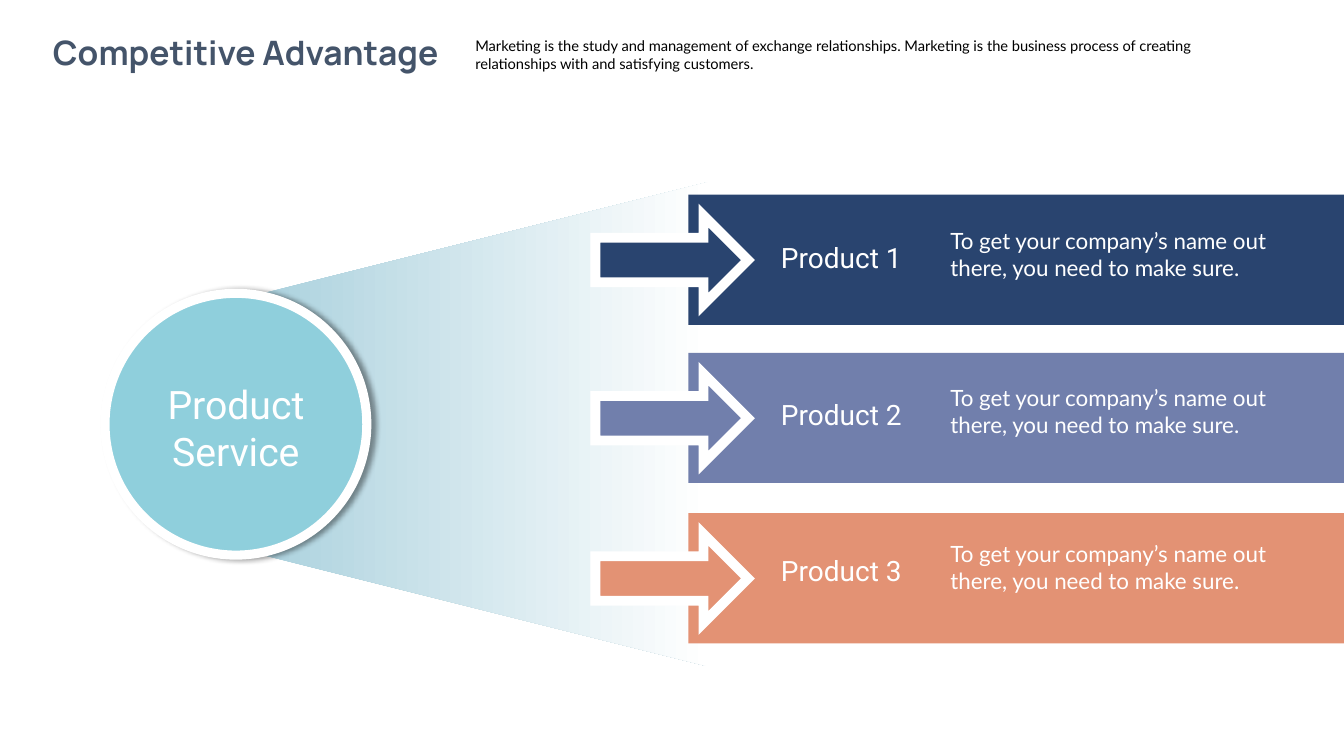
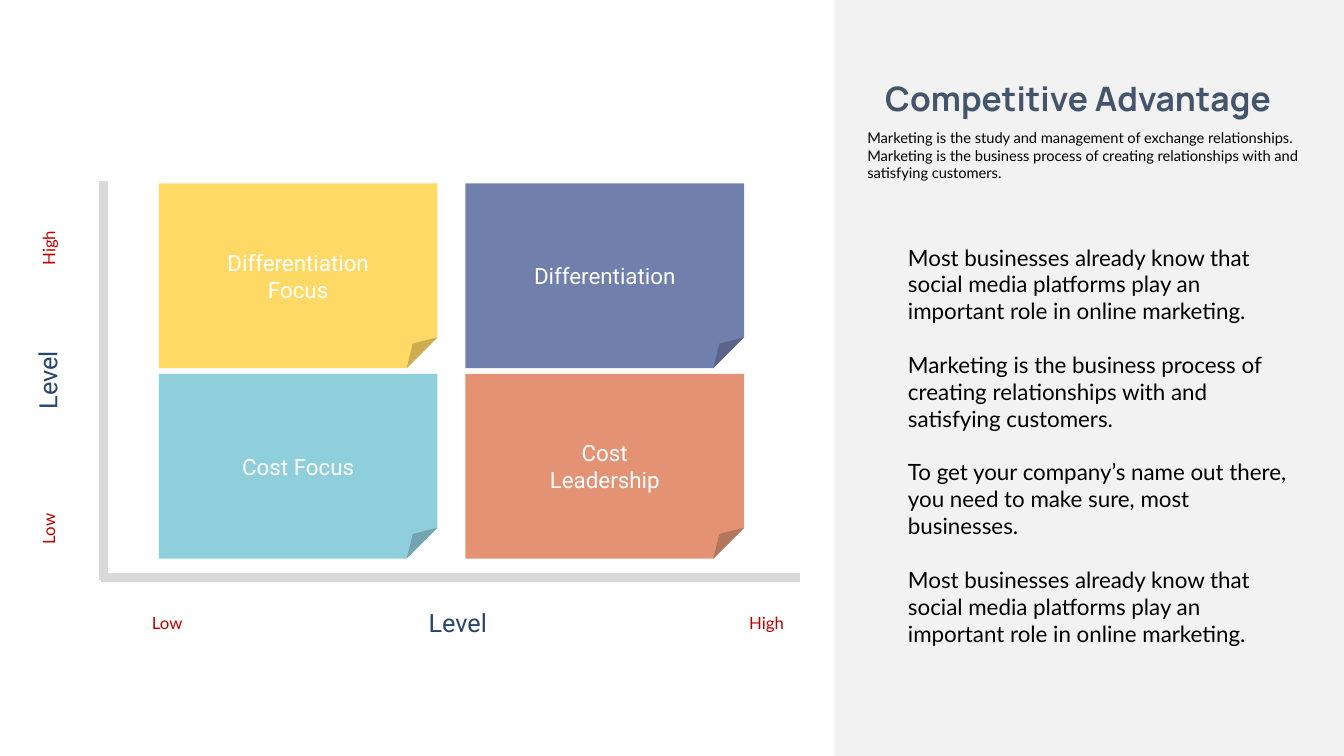
import dataclasses

import lxml.etree
import pptx
import pptx.dml.color
import pptx.enum.dml
import pptx.enum.shapes
import pptx.enum.text
import pptx.oxml
import pptx.oxml.ns
import pptx.util

Pt = pptx.util.Pt
SHAPES = pptx.enum.shapes.MSO_SHAPE
ALIGN = pptx.enum.text.PP_ALIGN
ANCHOR = pptx.enum.text.MSO_ANCHOR


@dataclasses.dataclass(frozen=True)
class Theme:
    title: str = "44546A"
    body: str = "000000"
    white: str = "FFFFFF"
    panel: str = "F2F2F2"
    axis: str = "D9D9D9"
    scale: str = "C00000"
    navy: str = "29446F"
    violet: str = "717FAC"
    coral: str = "E39274"
    aqua: str = "8FCFDC"
    yellow: str = "FFD966"
    beam: str = "A7CFDC"
    title_font: str = "Manrope"
    label_font: str = "Roboto"
    body_font: str = "Lato"
    intro_size: float = 10.5
    scale_size: float = 12
    body_size: float = 16
    axis_size: float = 18
    product_size: float = 20
    title_size: float = 24
    hub_size: float = 28
    thick_line: float = 7
    hub_line: float = 6.5


THEME = Theme()


@dataclasses.dataclass(frozen=True)
class Box:
    left: float
    top: float
    width: float
    height: float

    def inner(self, left, top, width, height):
        return Box(self.left + left, self.top + top, width, height)

    def lengths(self):
        return Pt(self.left), Pt(self.top), Pt(self.width), Pt(self.height)


TITLE = "Competitive Advantage"
INTRO = (
    "Marketing is the study and management of exchange relationships. "
    "Marketing is the business process of creating relationships with and satisfying customers."
)
PRODUCT_NOTE = "To get your company’s name out there, you need to make sure."
SOCIAL_NOTE = (
    "Most businesses already know that social media platforms play an "
    "important role in online marketing."
)
PANEL_NOTES = (
    SOCIAL_NOTE,
    "Marketing is the business process of creating relationships with and satisfying customers.",
    "To get your company’s name out there, you need to make sure, most businesses.",
    SOCIAL_NOTE,
)
PRODUCTS = (
    ("Product 1", THEME.navy, 139),
    ("Product 2", THEME.violet, 252),
    ("Product 3", THEME.coral, 366.5),
)
QUADRANTS = (
    ("Differentiation Focus", THEME.yellow, 0, 0),
    ("Differentiation", THEME.violet, 1, 0),
    ("Cost Focus", THEME.aqua, 0, 1),
    ("Cost Leadership", THEME.coral, 1, 1),
)


def color(value):
    return pptx.dml.color.RGBColor.from_string(value)


def add_text(page, box, text, *, size, font, ink, bold=False, align=ALIGN.LEFT,
             anchor=ANCHOR.TOP, wrap=True, rotation=0, gap=0):
    shape = page.shapes.add_textbox(*box.lengths())
    shape.rotation = rotation
    frame = shape.text_frame
    frame.word_wrap = wrap
    frame.vertical_anchor = anchor
    lines = (text,) if isinstance(text, str) else text
    for index, line in enumerate(lines):
        para = frame.add_paragraph() if index else frame.paragraphs[0]
        para.alignment = align
        para.space_before = Pt(gap if index else 0)
        span = para.add_run()
        span.text = line
        span.font.size = Pt(size)
        span.font.name = font
        span.font.bold = bold
        span.font.color.rgb = color(ink)
    return shape


def add_form(page, kind, box, fill, line=None, line_width=0):
    shape = page.shapes.add_shape(kind, *box.lengths())
    shape.shadow.inherit = False
    shape.fill.solid()
    shape.fill.fore_color.rgb = color(fill)
    if line is None:
        shape.line.fill.background()
    else:
        shape.line.color.rgb = color(line)
        shape.line.width = Pt(line_width)
        miter = lxml.etree.SubElement(shape.line._get_or_add_ln(), pptx.oxml.ns.qn("a:miter"))
        miter.set("lim", "800000")
    return shape


def add_shadow(shape):
    effects = shape._element.spPr.find(pptx.oxml.ns.qn("a:effectLst"))
    shadow = lxml.etree.SubElement(effects, pptx.oxml.ns.qn("a:outerShdw"))
    for name, value in (("blurRad", Pt(4)), ("dist", Pt(3)), ("dir", 0), ("algn", "l")):
        shadow.set(name, str(value))
    tint = lxml.etree.SubElement(shadow, pptx.oxml.ns.qn("a:srgbClr"), val="000000")
    lxml.etree.SubElement(tint, pptx.oxml.ns.qn("a:alpha"), val="40000")


def add_axis(page, start, end):
    axis = page.shapes.add_connector(
        pptx.enum.shapes.MSO_CONNECTOR.STRAIGHT, *(Pt(value) for value in start + end))
    axis.line.color.rgb = color(THEME.axis)
    axis.line.width = Pt(THEME.thick_line)
    lxml.etree.SubElement(axis._element.spPr, pptx.oxml.ns.qn("a:effectLst"))


def add_heading(page, title_box, intro_box):
    add_text(page, title_box, TITLE, size=THEME.title_size, font=THEME.title_font,
             ink=THEME.title, bold=True, align=ALIGN.CENTER, wrap=False)
    add_text(page, intro_box, INTRO, size=THEME.intro_size, font=THEME.body_font,
             ink=THEME.body)


def add_beam(page, box):
    beam = add_form(page, SHAPES.TRAPEZOID, box, THEME.beam)
    beam.rotation = 270
    beam.fill.gradient()
    beam.fill.gradient_angle = 270
    for stop, tone in zip(beam.fill.gradient_stops, (THEME.beam, THEME.white)):
        stop.color.rgb = color(tone)


def add_hub(page, box):
    circle = add_form(page, SHAPES.OVAL, box, THEME.aqua, THEME.white, THEME.hub_line)
    add_shadow(circle)
    add_text(page, box.inner(29, 58.5, 129, 81), "Product Service", size=THEME.hub_size,
             font=THEME.label_font, ink=THEME.white, align=ALIGN.CENTER)


def add_product(page, box, label, fill, text_top):
    add_form(page, SHAPES.RECTANGLE, box, fill)
    add_form(page, SHAPES.RIGHT_ARROW, box.inner(-66.5, 15, 109, 63.5), fill,
             THEME.white, THEME.thick_line)
    add_text(page, box.inner(59, text_top, 104.5, 31.5), label, size=THEME.product_size,
             font=THEME.label_font, ink=THEME.white)
    add_text(page, box.inner(180, text_top - 9.5, 264, 46), PRODUCT_NOTE,
             size=THEME.body_size, font=THEME.body_font, ink=THEME.white)


def add_quadrant(page, box, label, fill):
    add_form(page, SHAPES.FOLDED_CORNER, box, fill)
    inset = (box.width - 122) / 2
    add_text(page, box.inner(inset, 0, 122, box.height), label, size=THEME.body_size,
             font=THEME.label_font, ink=THEME.white, align=ALIGN.CENTER,
             anchor=ANCHOR.MIDDLE)


def add_matrix(page, box):
    card = Box(0, 0, 199, 132)
    for label, fill, column, row in QUADRANTS:
        place = box.inner(113.5 + 219 * column, 131 + 136 * row, card.width, card.height)
        add_quadrant(page, place, label, fill)
    level = dict(size=THEME.axis_size, font=THEME.label_font, ink=THEME.navy)
    scale = dict(size=THEME.scale_size, font=THEME.body_font, ink=THEME.scale)
    labels = (
        ("Level", -16, 257, 100, 29, 270, level),
        ("Level", 277, 430.5, 100, 29, 0, level),
        ("High", 4.5, 166.5, 60, 21.5, 270, scale),
        ("Low", 4.5, 367, 60, 21.5, 270, scale),
        ("Low", 95.5, 434, 48, 21.5, 0, scale),
        ("High", 523.5, 434, 48, 21.5, 0, scale),
    )
    for text, left, top, width, height, rotation, style in labels:
        add_text(page, box.inner(left, top, width, height), text, rotation=rotation,
                 align=ALIGN.CENTER, **style)
    for start, end in (((72.5, 412.5), (571.5, 412.5)), ((74, 414), (74, 129))):
        add_axis(page, *((box.left + x, box.top + y) for x, y in (start, end)))


def add_side_panel(page, box):
    add_form(page, SHAPES.RECTANGLE, box, THEME.panel)
    add_heading(page, box.inner(16.5, 52, 315, 36), box.inner(16.5, 88.5, 325, 45))
    add_text(page, box.inner(45.5, 170.5, 294, 298), PANEL_NOTES, size=THEME.body_size,
             font=THEME.body_font, ink=THEME.body, gap=19.2)


def build_products_page(page):
    add_beam(page, Box(164, 134, 346, 338))
    add_heading(page, Box(18, 19.5, 315, 36), Box(332.5, 23, 556, 32.5))
    add_hub(page, Box(75, 209.5, 187, 187))
    for index, (label, fill, top) in enumerate(PRODUCTS):
        text_top = 168.5 + 111.6 * index - top
        add_product(page, Box(491.75, top, 468.25, 93), label, fill, text_top)


def build_matrix_page(page):
    panel_left = 596
    add_side_panel(page, Box(panel_left, 0, 960 - panel_left, 540))
    add_matrix(page, Box(0, 0, panel_left, 540))


def main():
    deck = pptx.Presentation()
    deck.slide_width, deck.slide_height = Pt(960), Pt(540)
    for build_page in (build_products_page, build_matrix_page):
        build_page(deck.slides.add_slide(deck.slide_layouts[6]))
    deck.save("out.pptx")


if __name__ == "__main__":
    main()
